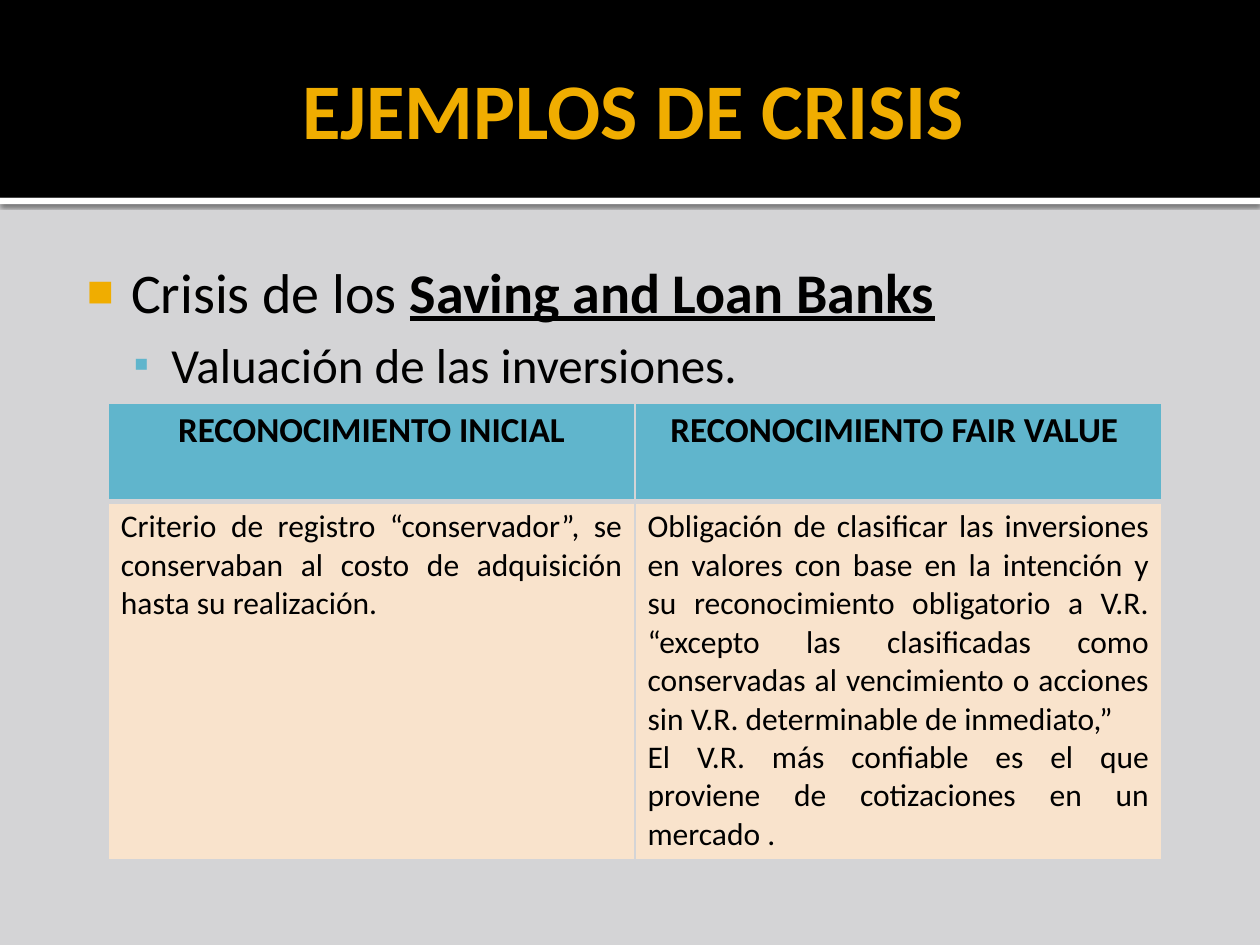
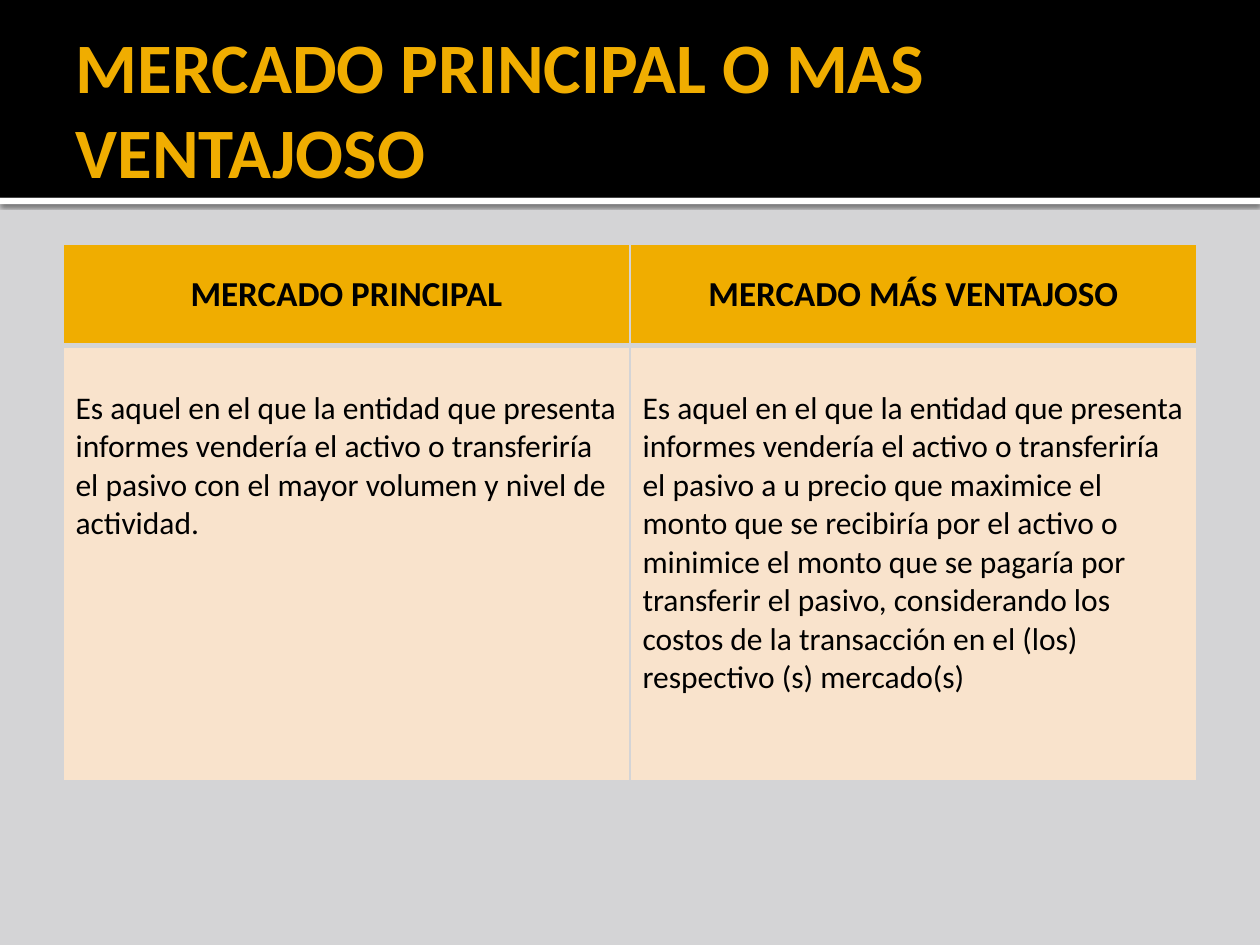
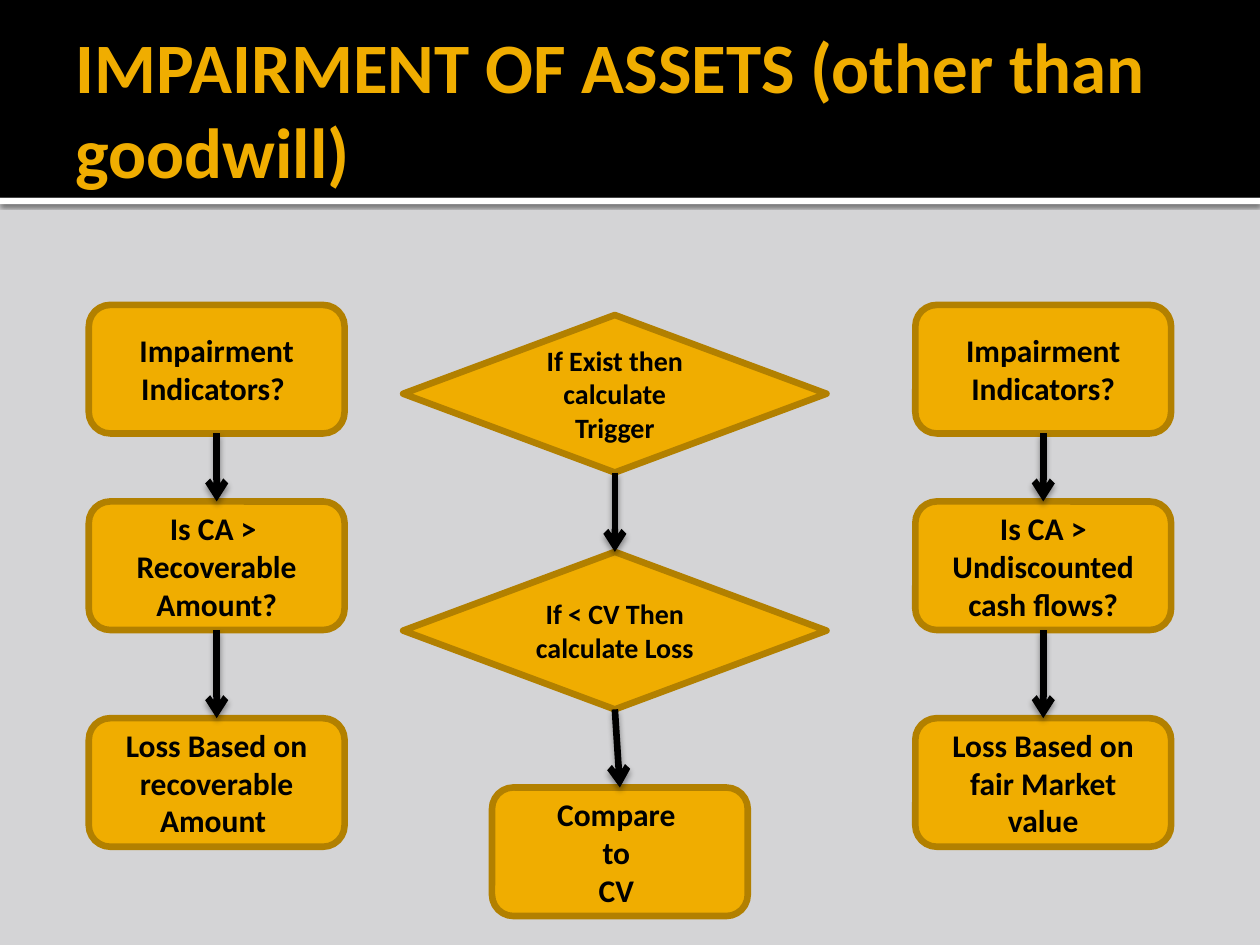
"""Builds three slides on fair value, principal markets and asset impairment."""
from dataclasses import dataclass
from itertools import pairwise
from typing import NamedTuple

from lxml import etree
from pptx import Presentation
from pptx import util as u
from pptx.dml.color import RGBColor
from pptx.enum import shapes, text
from pptx.oxml import parse_xml
from pptx.oxml.ns import nsdecls, qn

FONT = "Calibri"
BLACK, WHITE, GREY = "000000", "FFFFFF", "D4D4D6"
GOLD, BRONZE, TEAL, CREAM = "F0AD00", "B28000", "60B5CC", "F9E3CC"
COLUMNS, ROWS = 100, 75
WIDTH, HEIGHT = u.Inches(10), u.Inches(7.5)
STROKE = 3.78
LEFT, CENTER, JUSTIFY = (text.PP_ALIGN.LEFT, text.PP_ALIGN.CENTER,
                         text.PP_ALIGN.JUSTIFY)


class Area(NamedTuple):
    """A rectangle in grid columns and rows."""
    left: float
    top: float
    width: float
    height: float

    def emu(self) -> tuple[int, int, int, int]:
        """Return the rectangle in slide units."""
        return (columns(self.left), rows(self.top),
                columns(self.width), rows(self.height))


class NodeKind(NamedTuple):
    """The look of one kind of flow chart step."""
    preset: shapes.MSO_SHAPE
    width: float
    height: float
    size: float


class Bullet(NamedTuple):
    """The look of one list level."""
    mark: str
    color: str
    percent: int
    margin: float
    hanging: float
    size: float


@dataclass(frozen=True)
class Node:
    """A flow chart step centred on a grid column."""
    kind: NodeKind
    center: float
    top: float
    words: str


@dataclass(frozen=True)
class Comparison:
    """A two-column table with a header above explanations."""
    area: Area
    header_height: float
    header_color: str
    headers: tuple[str, str]
    bodies: tuple[str, str]
    header_anchor: text.MSO_ANCHOR
    body_align: text.PP_ALIGN
    body_margin: float


TITLE_AREA = Area(5, 1.7, 90, 13.7)
LIST_AREA = Area(5, 19.4, 90, 50.6)
HEADER_BAND = Area(0, 0, COLUMNS, 15.7)
HEADER_RULE = Area(0, 15.7, COLUMNS, 0.5)

STEP = NodeKind(shapes.MSO_SHAPE.FLOWCHART_ALTERNATE_PROCESS, 20.3, 10.2, 18)
DECISION = NodeKind(shapes.MSO_SHAPE.FLOWCHART_DECISION, 33.6, 12.5, 16)
TOPIC = Bullet("■", GOLD, 80, 4.8, 3.5, 32)
DETAIL = Bullet("▪", TEAL, 90, 8, 3, 28)

INVESTMENTS = Comparison(
    Area(8.6, 32, 83.6, 36.2), 7.8, TEAL,
    ("RECONOCIMIENTO INICIAL", "RECONOCIMIENTO FAIR VALUE "),
    ("Criterio de registro “conservador”, se conservaban al costo de "
     "adquisición hasta su realización.",
     "Obligación de clasificar las inversiones en valores con base en la "
     "intención y su reconocimiento obligatorio a V.R. “excepto las "
     "clasificadas como conservadas al vencimiento o acciones sin V.R. "
     "determinable de inmediato,” \n"
     "El V.R. más confiable es el que proviene de cotizaciones en un "
     "mercado . "),
    text.MSO_ANCHOR.TOP, JUSTIFY, 0.5)

MARKETS = Comparison(
    Area(5, 19.4, 90, 42.6), 8, GOLD,
    ("MERCADO PRINCIPAL", "MERCADO MÁS VENTAJOSO"),
    ("Es aquel en el que la entidad que presenta informes vendería el activo "
     "o transferiría el pasivo con el mayor volumen y nivel de actividad.",
     "Es aquel en el que la entidad que presenta informes vendería el activo "
     "o transferiría el pasivo a u precio que maximice el monto que se "
     "recibiría por el activo o minimice el monto que se pagaría por "
     "transferir el pasivo, considerando los costos de la transacción en el "
     "(los) respectivo (s) mercado(s)"),
    text.MSO_ANCHOR.MIDDLE, LEFT, 3.5)

STEP_TOPS = (24.2, 39.8, 57)


def step_chain(center: float, *words: str) -> list[Node]:
    """Return the steps of an outer column of the flow chart."""
    return [Node(STEP, center, top, label)
            for top, label in zip(STEP_TOPS, words)]


IMPAIRMENT_FLOW = (
    step_chain(17.2, "Impairment Indicators? ",
               "Is CA > \nRecoverable Amount?",
               "Loss Based on recoverable Amount "),
    [Node(DECISION, 48.8, 25, "If Exist then calculate Trigger"),
     Node(DECISION, 48.8, 43.8, "If < CV Then calculate Loss"),
     Node(STEP, 49.2, 62.5, "Compare \nto \nCV ")],
    step_chain(82.8, "Impairment Indicators?",
               "Is CA > Undiscounted cash flows?",
               "Loss Based on fair Market value"),
)


def columns(count: float) -> int:
    """Convert grid columns to slide units."""
    return round(WIDTH * count / COLUMNS)


def rows(count: float) -> int:
    """Convert grid rows to slide units."""
    return round(HEIGHT * count / ROWS)


def paint(target, color: str) -> None:
    """Give a fill or a line's fill one solid colour."""
    target.solid()
    target.fore_color.rgb = RGBColor.from_string(color)


def style(paragraph, size: float, color: str = BLACK, bold: bool = False,
          align: text.PP_ALIGN | None = None) -> None:
    """Format a paragraph and its runs."""
    paragraph.alignment = align
    for run in paragraph.runs:
        run.font.name, run.font.size = FONT, u.Pt(size)
        run.font.bold = bold
        run.font.color.rgb = RGBColor.from_string(color)


def cast_shadow(properties, alpha: int, blur: float, distance: float) -> None:
    """Put a downward black shadow in shape properties."""
    effects = properties.find(qn("a:effectLst"))
    if effects is None:
        effects = etree.SubElement(properties, qn("a:effectLst"))
    effects.append(parse_xml(
        f'<a:outerShdw {nsdecls("a")} blurRad="{u.Pt(blur)}" '
        f'dist="{u.Pt(distance)}" dir="5400000" rotWithShape="0">'
        f'<a:srgbClr val="{BLACK}"><a:alpha val="{alpha * 1000}"/>'
        '</a:srgbClr></a:outerShdw>'))


def add_band(slide, area: Area, color: str):
    """Draw a borderless rectangle."""
    band = slide.shapes.add_shape(shapes.MSO_SHAPE.RECTANGLE, *area.emu())
    paint(band.fill, color)
    band.line.fill.background()
    band.shadow.inherit = False
    return band


def dress_master(deck, slide) -> None:
    """Give the master its background and header bands."""
    master = deck.slide_master
    paint(master.background.fill, GREY)
    rule = add_band(slide, HEADER_RULE, WHITE)
    cast_shadow(rule.element.spPr, 60, 2.5, 0.8)
    header = add_band(slide, HEADER_BAND, BLACK)
    for position, band in enumerate((rule, header), start=2):
        master.shapes.element.insert(position, band.element)


def place(holder, area: Area, insets: tuple[float, ...]):
    """Move a placeholder, set its insets and return its text frame."""
    holder.left, holder.top, holder.width, holder.height = area.emu()
    frame = holder.text_frame
    frame.auto_size = text.MSO_AUTO_SIZE.NONE
    (frame.margin_left, frame.margin_top,
     frame.margin_right, frame.margin_bottom) = map(columns, insets)
    return frame


def add_slide(deck, layout: int, heading: str, size: float = 40.5,
              align: text.PP_ALIGN = LEFT):
    """Add a slide with its title."""
    slide = deck.slides.add_slide(deck.slide_layouts[layout])
    frame = place(slide.shapes.title, TITLE_AREA, (1, 0.5, 0.5, 0.5))
    frame.vertical_anchor = text.MSO_ANCHOR.MIDDLE
    frame.text = heading
    style(frame.paragraphs[0], size, GOLD, True, align)
    return slide


def set_bullet(paragraph, bullet: Bullet, before: float) -> None:
    """Give a list paragraph its mark, indent, spacing and font."""
    properties = paragraph._p.get_or_add_pPr()
    properties.set("marL", str(columns(bullet.margin)))
    properties.set("indent", str(-columns(bullet.hanging)))
    for xml in (f'<a:buClr {nsdecls("a")}><a:srgbClr val="{bullet.color}"/>'
                '</a:buClr>',
                f'<a:buSzPct {nsdecls("a")} val="{bullet.percent * 1000}"/>',
                f'<a:buChar {nsdecls("a")} char="{bullet.mark}"/>'):
        properties.append(parse_xml(xml))
    paragraph.space_before = u.Pt(before)
    style(paragraph, bullet.size)


def add_crisis_list(slide) -> None:
    """Fill the body placeholder with the crisis and its cause."""
    frame = place(slide.placeholders[1], LIST_AREA, (0.6, 1, 1, 0.5))
    frame.text = "Crisis de los \nValuación de las inversiones."
    crisis, cause = frame.paragraphs
    cause.level = 1
    banks = crisis.add_run()
    banks.text = "Saving and Loan Banks"
    set_bullet(crisis, TOPIC, 0)
    set_bullet(cause, DETAIL, 5.6)
    banks.font.bold = banks.font.underline = True


def set_borders(cell, top: float, bottom: float) -> None:
    """Draw the four borders of a table cell."""
    properties = cell._tc.get_or_add_tcPr()
    for side, width in (("L", 1), ("R", 1), ("T", top), ("B", bottom)):
        properties.append(parse_xml(
            f'<a:ln{side} {nsdecls("a")} w="{u.Pt(width)}"><a:solidFill>'
            f'<a:srgbClr val="{GREY}"/></a:solidFill></a:ln{side}>'))


def fill_cell(cell, words: str, color: str, size: float, bold: bool,
              align: text.PP_ALIGN) -> None:
    """Write and colour a table cell."""
    paint(cell.fill, color)
    cell.text = words
    for paragraph in cell.text_frame.paragraphs:
        style(paragraph, size, BLACK, bold, align)


def add_comparison(slide, comparison: Comparison) -> None:
    """Draw a two-column comparison table."""
    area = comparison.area
    table = slide.shapes.add_table(2, 2, *area.emu()).table
    table.horz_banding = table.first_row = False
    table.rows[0].height = rows(comparison.header_height)
    table.rows[1].height = rows(area.height - comparison.header_height)
    for column, (header, body) in enumerate(
            zip(comparison.headers, comparison.bodies)):
        table.columns[column].width = columns(area.width / 2)
        head, explanation = table.cell(0, column), table.cell(1, column)
        set_borders(head, 1, 3)
        set_borders(explanation, 3, 1)
        fill_cell(head, header, comparison.header_color, 20, True, CENTER)
        fill_cell(explanation, body, CREAM, 18, False, comparison.body_align)
        head.vertical_anchor = comparison.header_anchor
        explanation.margin_top = rows(comparison.body_margin)


def add_node(slide, node: Node):
    """Draw one flow chart step."""
    kind = node.kind
    area = Area(node.center - kind.width / 2, node.top, kind.width, kind.height)
    step = slide.shapes.add_shape(kind.preset, *area.emu())
    paint(step.fill, GOLD)
    paint(step.line.fill, BRONZE)
    step.line.width = u.Pt(STROKE)
    step.shadow.inherit = False
    frame = step.text_frame
    frame.word_wrap = True
    frame.vertical_anchor = text.MSO_ANCHOR.MIDDLE
    frame.text = node.words
    for paragraph in frame.paragraphs:
        style(paragraph, kind.size, BLACK, True, CENTER)
    return step


def add_arrow(slide, upper, lower) -> None:
    """Join the bottom of one step to the top of the next."""
    arrow = slide.shapes.add_connector(shapes.MSO_CONNECTOR.STRAIGHT, 0, 0, 0, 0)
    arrow.begin_connect(upper, 2)
    arrow.end_connect(lower, 0)
    paint(arrow.line.fill, BLACK)
    arrow.line.width = u.Pt(STROKE)
    properties = arrow.element.spPr
    etree.SubElement(properties.find(qn("a:ln")), qn("a:tailEnd"), type="arrow")
    cast_shadow(properties, 38, 3.5, 2)


def main() -> None:
    """Build and save the presentation."""
    deck = Presentation()
    deck.slide_width, deck.slide_height = WIDTH, HEIGHT

    crisis = add_slide(deck, 1, "EJEMPLOS DE CRISIS", 45, CENTER)
    dress_master(deck, crisis)
    add_crisis_list(crisis)
    add_comparison(crisis, INVESTMENTS)

    market = add_slide(deck, 5, "MERCADO PRINCIPAL O MAS VENTAJOSO")
    add_comparison(market, MARKETS)

    impairment = add_slide(deck, 5, "IMPAIRMENT OF ASSETS (other than goodwill)")
    chains = [[add_node(impairment, node) for node in chain]
              for chain in IMPAIRMENT_FLOW]
    for chain in chains:
        for upper, lower in pairwise(chain):
            add_arrow(impairment, upper, lower)

    deck.save("out.pptx")


if __name__ == "__main__":
    main()
